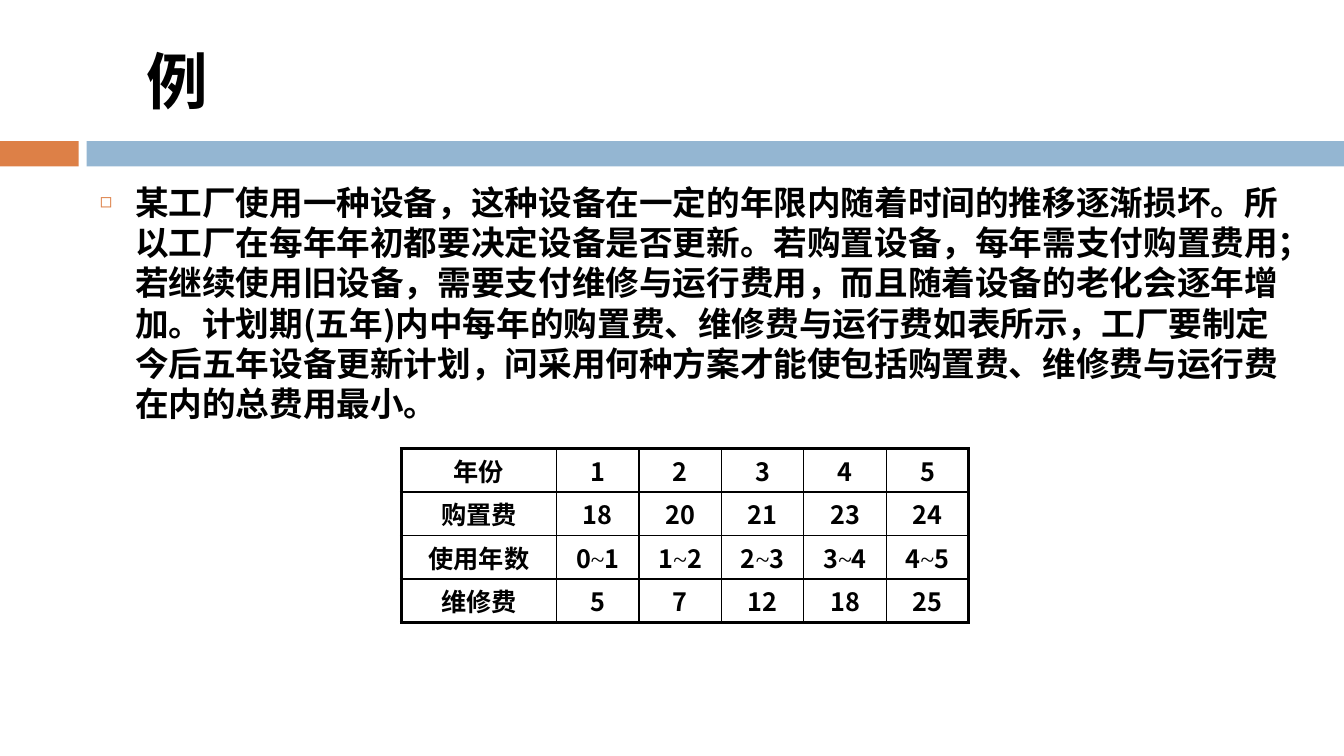
from lxml import etree
from pptx import Presentation
from pptx.dml.color import RGBColor
from pptx.enum.shapes import MSO_SHAPE
from pptx.enum.text import MSO_ANCHOR, MSO_AUTO_SIZE, PP_ALIGN
from pptx.oxml.ns import qn
from pptx.util import Inches, Pt

RECTANGLE = MSO_SHAPE.RECTANGLE
TOP, MIDDLE = MSO_ANCHOR.TOP, MSO_ANCHOR.MIDDLE
LEFT, CENTER = PP_ALIGN.LEFT, PP_ALIGN.CENTER

TITLE = "例"
BODY = (
    "某工厂使用一种设备，这种设备在一定的年限内随着时间的推移逐渐损坏。"
    "所以工厂在每年年初都要决定设备是否更新。若购置设备，每年需支付购置费用；"
    "若继续使用旧设备，需要支付维修与运行费用，而且随着设备的老化会逐年增加。"
    "计划期(五年)内中每年的购置费、维修费与运行费如表所示，"
    "工厂要制定今后五年设备更新计划，"
    "问采用何种方案才能使包括购置费、维修费与运行费在内的总费用最小。"
)
COSTS = [
    ["年份", "1", "2", "3", "4", "5"],
    ["购置费", "18", "20", "21", "23", "24"],
    ["使用年数", "0~1", "1~2", "2~3", "3~4", "4~5"],
    ["维修费", "5", "7", "12", "18", "25"],
]

THEME = {
    "text": "000000", "accent": "DD8047", "band": "94B6D2",
    "font": "Noto Sans CJK SC", "tilde_font": "Times New Roman",
    "title": 44, "body": 24, "table": 18,
    "outer_line": 2.25, "inner_line": 1,
}
SLIDE_SIZE = (13.33, 7.5)
TITLE_BOX = (1.35, 0.25, 10.67, 1.08)
BODY_BOX = (0.89, 1.75, 11.89, 4.92)
BANDS = [((0, 1.4, 0.78, 0.25), "accent"), ((0.86, 1.4, 12.47, 0.25), "band")]
TABLE_LEFT, TABLE_TOP, TABLE_WIDTH = 3.98, 4.45, 5.63
LABEL_WIDTH, ROW_HEIGHT = 1.54, 0.38


def color(name):
    return RGBColor.from_string(THEME[name])


def add_run(paragraph, text, size, typeface="font", bold=True):
    run = paragraph.add_run()
    run.text = text
    values = {"size": Pt(THEME[size]), "bold": bold, "name": THEME[typeface]}
    for attribute, value in values.items():
        setattr(run.font, attribute, value)
    run.font.color.rgb = color("text")
    east_asian = etree.Element(qn("a:ea"), typeface=THEME[typeface])
    run.font._element.find(qn("a:latin")).addnext(east_asian)


def place(placeholder, box, anchor):
    for attribute, value in zip(("left", "top", "width", "height"), box):
        setattr(placeholder, attribute, Inches(value))
    frame = placeholder.text_frame
    frame.auto_size = MSO_AUTO_SIZE.NONE
    frame.vertical_anchor = anchor
    paragraph = frame.paragraphs[0]
    paragraph.alignment = LEFT
    return paragraph


def add_bullet(paragraph):
    properties = paragraph._p.get_or_add_pPr()
    properties.set("marL", str(Inches(0.35)))
    properties.set("indent", str(Inches(-0.35)))
    bullet_color = etree.SubElement(properties, qn("a:buClr"))
    etree.SubElement(bullet_color, qn("a:srgbClr"), val=THEME["accent"])
    etree.SubElement(properties, qn("a:buSzPct"), val="60000")
    etree.SubElement(properties, qn("a:buChar"), char="◻")


def set_borders(cell, outer_sides):
    """Draw all four sides, heavier on those at the edge of the table."""
    properties = cell._tc.get_or_add_tcPr()
    for position, side in enumerate("LRTB"):
        weight = THEME["outer_line" if side in outer_sides else "inner_line"]
        line = etree.Element(qn(f"a:ln{side}"), w=str(Pt(weight)))
        fill = etree.SubElement(line, qn("a:solidFill"))
        etree.SubElement(fill, qn("a:srgbClr"), val=THEME["text"])
        properties.insert(position, line)


def fill_cell(cell, text):
    cell.fill.background()
    cell.vertical_anchor = MIDDLE
    cell.margin_left = cell.margin_right = Pt(5)
    cell.margin_top = cell.margin_bottom = Pt(2.5)
    paragraph = cell.text_frame.paragraphs[0]
    paragraph.alignment = CENTER
    start, tilde, end = text.partition("~")
    add_run(paragraph, start, "table")
    if tilde:
        add_run(paragraph, tilde, "table", "tilde_font", False)
        add_run(paragraph, end, "table")


def add_cost_table(slide):
    row_count, column_count = len(COSTS), len(COSTS[0])
    year_count = column_count - 1
    year_width = (TABLE_WIDTH - LABEL_WIDTH) / year_count
    widths = [LABEL_WIDTH] + [year_width] * year_count
    table = slide.shapes.add_table(
        row_count, column_count, Inches(TABLE_LEFT), Inches(TABLE_TOP),
        Inches(TABLE_WIDTH), Inches(ROW_HEIGHT * row_count)).table
    table.first_row = table.horz_banding = False
    for column, width in zip(table.columns, widths):
        column.width = Inches(width)
    for r, values in enumerate(COSTS):
        table.rows[r].height = Inches(ROW_HEIGHT)
        for c, text in enumerate(values):
            edges = {"L": c == 0, "R": c == column_count - 1,
                     "T": r == 0, "B": r == row_count - 1}
            cell = table.cell(r, c)
            fill_cell(cell, text)
            set_borders(cell, [side for side in edges if edges[side]])


def main():
    presentation = Presentation()
    presentation.slide_width, presentation.slide_height = map(Inches, SLIDE_SIZE)
    slide = presentation.slides.add_slide(presentation.slide_layouts[1])

    for box, fill in BANDS:
        band = slide.shapes.add_shape(RECTANGLE, *map(Inches, box))
        band.shadow.inherit = False
        band.fill.solid()
        band.fill.fore_color.rgb = color(fill)
        band.line.fill.background()

    add_cost_table(slide)
    add_run(place(slide.shapes.title, TITLE_BOX, MIDDLE), TITLE, "title")
    paragraph = place(slide.placeholders[1], BODY_BOX, TOP)
    add_bullet(paragraph)
    paragraph.line_spacing = 1.0
    paragraph.space_before = Pt(0)
    add_run(paragraph, BODY, "body")
    presentation.save("out.pptx")


if __name__ == "__main__":
    main()
